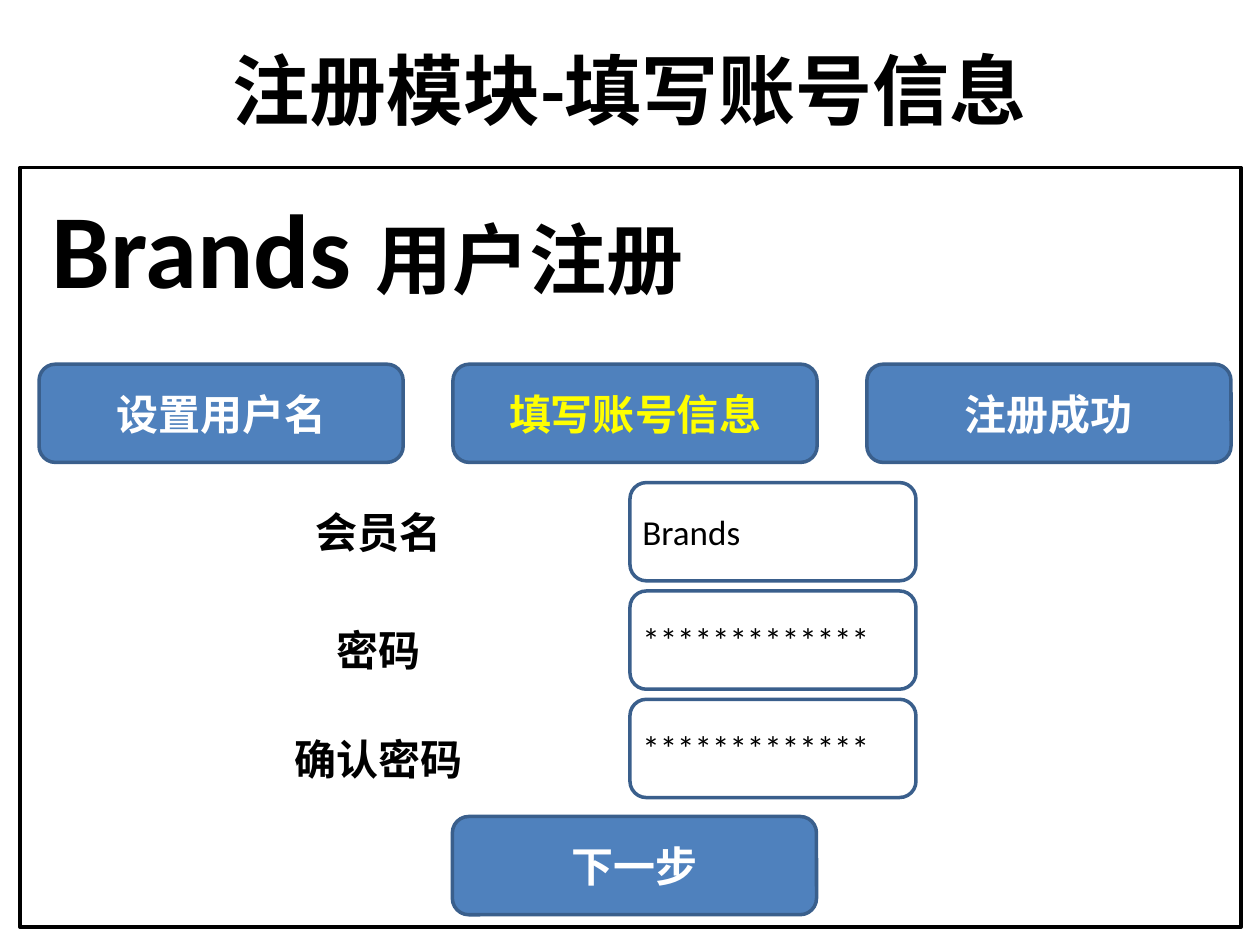
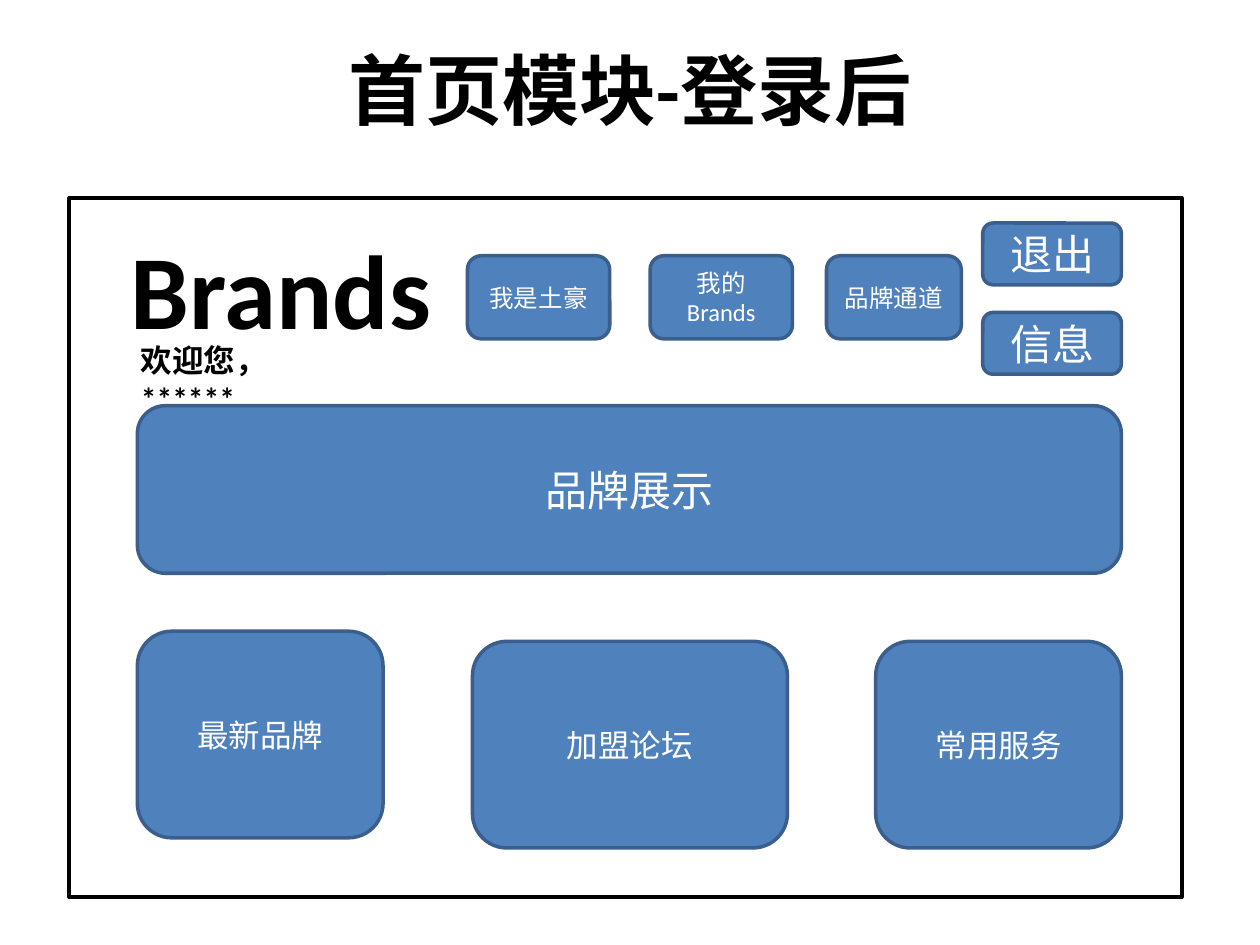
from pptx import Presentation
from pptx.dml.color import RGBColor
from pptx.enum.shapes import MSO_SHAPE
from pptx.enum.text import MSO_ANCHOR, PP_ALIGN
from pptx.util import Inches, Pt

BLUE = RGBColor(0x4F, 0x81, 0xBD)
DARK_BLUE = RGBColor(0x3A, 0x5F, 0x8C)
BLACK = RGBColor(0, 0, 0)
WHITE = RGBColor(255, 255, 255)
YELLOW = RGBColor(255, 255, 0)
FONT = "Calibri"
RECTANGLE = MSO_SHAPE.RECTANGLE
ROUNDED = MSO_SHAPE.ROUNDED_RECTANGLE
CENTER, LEFT = PP_ALIGN.CENTER, PP_ALIGN.LEFT
MIDDLE, TOP = MSO_ANCHOR.MIDDLE, MSO_ANCHOR.TOP
TITLE_ONLY = 5


def write(shape, *texts, sizes=(24,), color=BLACK, bold=False,
          align=CENTER, anchor=MIDDLE, wrap=True):
    """Fill a shape with one paragraph, one run for each text and size."""
    frame = shape.text_frame
    frame.word_wrap = wrap
    frame.vertical_anchor = anchor
    para = frame.paragraphs[0]
    para.alignment = align
    for text, size in zip(texts, sizes):
        span = para.add_run()
        span.text = text
        span.font.name = FONT
        span.font.size = Pt(size)
        span.font.bold = bold
        span.font.color.rgb = color


def add_box(page, place, text="", kind=ROUNDED, fill=BLUE, line=DARK_BLUE,
            size=24, color=WHITE, bold=False):
    box = page.shapes.add_shape(kind, *map(Inches, place))
    box.shadow.inherit = False
    if fill is None:
        box.fill.background()
    else:
        box.fill.solid()
        box.fill.fore_color.rgb = fill
    if line is None:
        box.line.fill.background()
    else:
        box.line.color.rgb = line
        box.line.width = Pt(2)
    if text:
        write(box, text, sizes=[size], color=color, bold=bold)


deck = Presentation()
deck.slide_width, deck.slide_height = Inches(10), Inches(7.5)

# Both pages: title and window frame
pages = []
for heading, window in [
    ("注册模块-填写账号信息", (0.16, 1.33, 9.69, 6.03)),
    ("首页模块-登录后", (0.55, 1.57, 8.83, 5.55)),
]:
    page = deck.slides.add_slide(deck.slide_layouts[TITLE_ONLY])
    title = page.shapes.title
    title.left, title.top = Inches(0.5), Inches(0.08)
    title.width, title.height = Inches(9), Inches(1.25)
    write(title, heading, sizes=[44], bold=True)
    add_box(page, window, kind=RECTANGLE, fill=None, line=BLACK)
    pages.append(page)
register_page, home_page = pages

# Registration: header
header = register_page.shapes.add_textbox(
    Inches(0.31), Inches(1.41), Inches(5.78), Inches(1.11))
write(header, "Brands ", "用户注册", sizes=(60, 44), bold=True,
      align=LEFT, anchor=TOP)

# Registration: steps, the current one in yellow
BUTTON_WIDTH, BUTTON_HEIGHT = 2.89, 0.78
steps = [("设置用户名", WHITE), ("填写账号信息", YELLOW), ("注册成功", WHITE)]
for column, (step, color) in enumerate(steps):
    add_box(register_page,
            (0.31 + 3.285 * column, 2.89, BUTTON_WIDTH, BUTTON_HEIGHT),
            step, color=color, bold=True)

# Registration: form rows, each a label, a field and its value
FIELD_WIDTH, FIELD_LEFT = 2.27, 5
form = [
    ("会员名", 3.83, "Brands", 0.99),
    ("密码", 4.77, "*" * 13, 2.03),
    ("确认密码", 5.63, "*" * 13, 2.03),
]
for row, (label, label_top, value, value_width) in enumerate(form):
    field_top = 3.83 + 0.86 * row
    add_box(register_page, (1.87, label_top, FIELD_WIDTH, BUTTON_HEIGHT),
            label, fill=None, line=None, color=BLACK, bold=True)
    add_box(register_page, (FIELD_LEFT, field_top, FIELD_WIDTH, BUTTON_HEIGHT),
            fill=None)
    entry = register_page.shapes.add_textbox(
        Inches(FIELD_LEFT), Inches(field_top + 0.17),
        Inches(value_width), Inches(0.44))
    write(entry, value, sizes=[20], align=LEFT, anchor=TOP, wrap=False)

add_box(register_page, (3.59, 6.48, BUTTON_WIDTH, BUTTON_HEIGHT),
        "下一步", bold=True)

# Home: site name and greeting
for text, place, size in [
    ("Brands", (0.94, 1.73, 2.89, 1.11), 60),
    ("欢迎您，******", (1.02, 2.66, 1.8, 0.4), 18),
]:
    caption = home_page.shapes.add_textbox(*map(Inches, place))
    write(caption, text, sizes=[size], bold=True, align=LEFT, anchor=TOP)

# Home: navigation, account buttons, banner and content panels
for text, place, size in [
    ("我是土豪", (3.71, 2.03, 1.13, 0.66), 14),
    ("我的Brands", (5.16, 2.03, 1.13, 0.66), 14),
    ("品牌通道", (6.56, 2.03, 1.07, 0.66), 14),
    ("退出", (7.8, 1.77, 1.1, 0.49), 24),
    ("信息", (7.8, 2.48, 1.1, 0.49), 24),
    ("品牌展示", (1.09, 3.22, 7.81, 1.33), 24),
    ("最新品牌", (1.09, 5.01, 1.95, 1.64), 18),
    ("加盟论坛", (3.75, 5.09, 2.5, 1.64), 18),
    ("常用服务", (6.95, 5.09, 1.95, 1.64), 18),
]:
    add_box(home_page, place, text, size=size)

deck.save("out.pptx")
